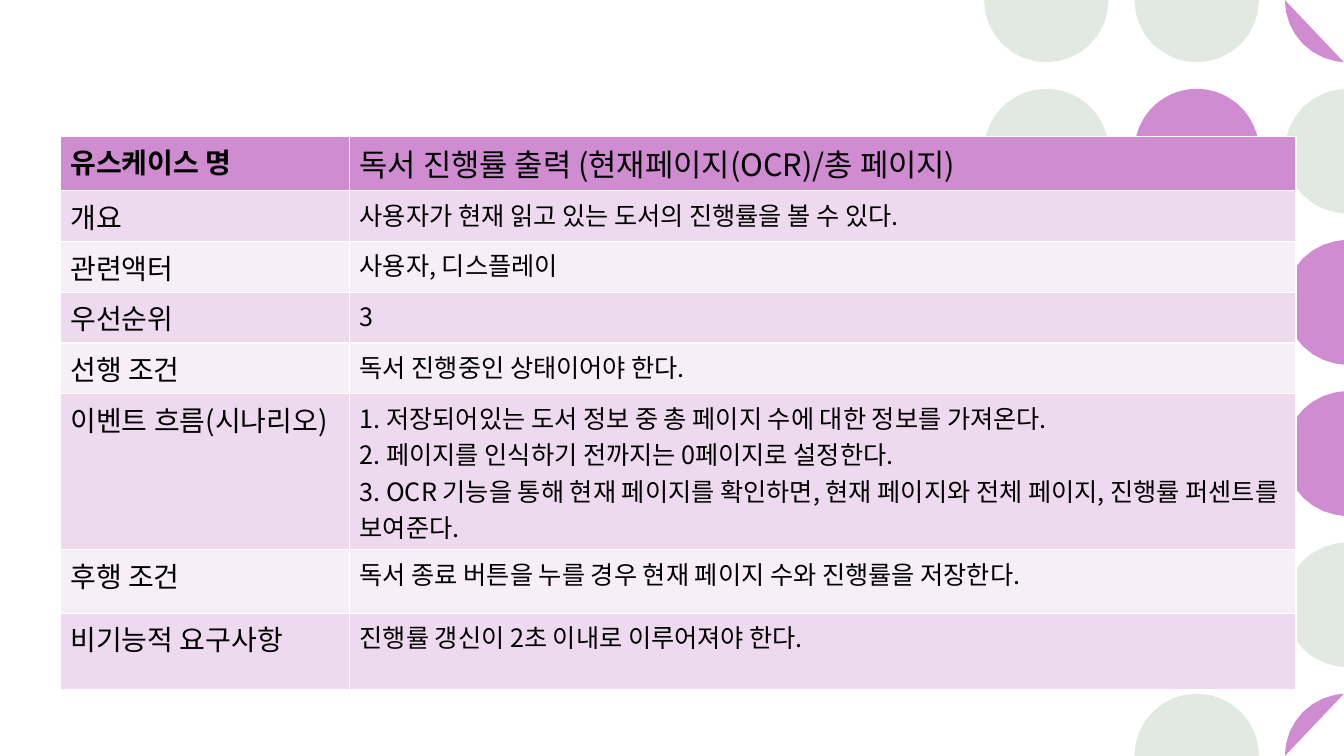
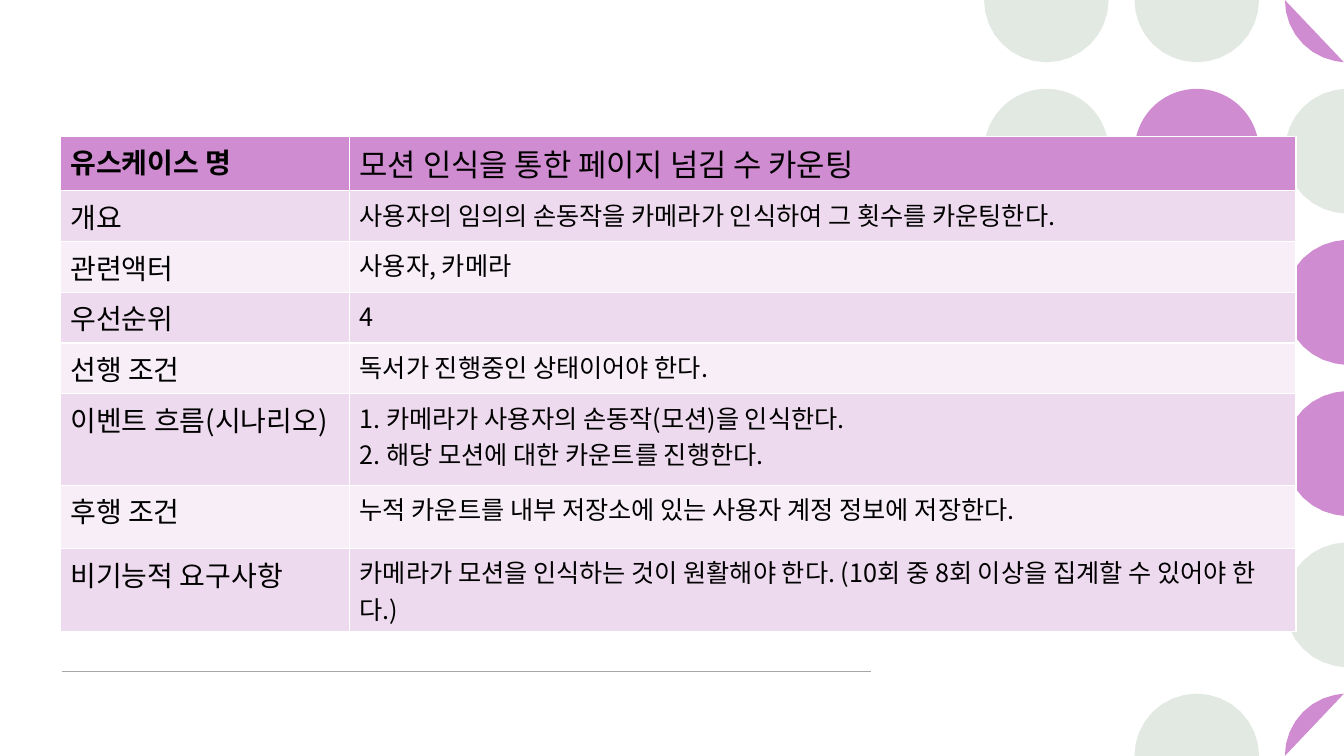
import math

from lxml import etree
from pptx import Presentation
from pptx.dml.color import RGBColor
from pptx.enum.shapes import MSO_CONNECTOR, MSO_SHAPE
from pptx.oxml.ns import qn
from pptx.util import Cm, Pt

STRAIGHT = MSO_CONNECTOR.STRAIGHT
OVAL = MSO_SHAPE.OVAL

FONT = "Noto Sans CJK KR"
BLACK = "000000"
RULE_GREY = "A6A6A6"
SAGE = "E2E8E2"
ORCHID = "D08CD0"
BAND_DARK = "EEDAEE"
BAND_LIGHT = "F7EEF7"

SLIDE_WIDTH, SLIDE_HEIGHT = 33.87, 19.05
DOT_LEFT, DOT_STEP_X, DOT_STEP_Y, DOT_RADIUS = 26.37, 3.79, 3.81, 1.57
DOT_COLUMNS = [
    [SAGE, SAGE],
    [SAGE, ORCHID, SAGE, SAGE, None, SAGE],
    [ORCHID, SAGE, ORCHID, ORCHID, SAGE, ORCHID],
]
ARC_STEPS = 32

TABLE_LEFT, TABLE_TOP = 1.52, 3.43
COLUMN_WIDTHS = [7.29, 23.85]
ROW_HEIGHTS = [0.99, 1.04, 1.04, 0.99, 1.04, 1.75, 1.6, 1.93]
LABELS = ["유스케이스 명", "개요", "관련액터", "우선순위", "선행 조건",
          "이벤트 흐름(시나리오)", "후행 조건", "비기능적 요구사항"]

USE_CASES = [
    [
        "독서 진행률 출력 (현재페이지(OCR)/총 페이지)",
        "사용자가 현재 읽고 있는 도서의 진행률을 볼 수 있다.",
        "사용자, 디스플레이",
        "3",
        "독서 진행중인 상태이어야 한다.",
        "1. 저장되어있는 도서 정보 중 총 페이지 수에 대한 정보를 가져온다.\n"
        "2. 페이지를 인식하기 전까지는 0페이지로 설정한다.\n"
        "3. OCR 기능을 통해 현재 페이지를 확인하면, 현재 페이지와 전체 페이지, "
        "진행률 퍼센트를 보여준다.",
        "독서 종료 버튼을 누를 경우 현재 페이지 수와 진행률을 저장한다.",
        "진행률 갱신이 2초 이내로 이루어져야 한다.",
    ],
    [
        "모션 인식을 통한 페이지 넘김 수 카운팅",
        "사용자의 임의의 손동작을 카메라가 인식하여 그 횟수를 카운팅한다.",
        "사용자, 카메라",
        "4",
        "독서가 진행중인 상태이어야 한다.",
        "1. 카메라가 사용자의 손동작(모션)을 인식한다.\n"
        "2. 해당 모션에 대한 카운트를 진행한다.",
        "누적 카운트를 내부 저장소에 있는 사용자 계정 정보에 저장한다.",
        "카메라가 모션을 인식하는 것이 원활해야 한다. "
        "(10회 중 8회 이상을 집계할 수 있어야 한다.)",
    ],
]


def color(value):
    return RGBColor.from_string(value)


def clamp(value, limit):
    return min(max(value, 0), limit)


def cut_circle(center_x, center_y):
    points = []
    for step in range(ARC_STEPS):
        angle = 2 * math.pi * step / ARC_STEPS
        x = clamp(center_x + DOT_RADIUS * math.cos(angle), SLIDE_WIDTH)
        y = clamp(center_y + DOT_RADIUS * math.sin(angle), SLIDE_HEIGHT)
        points.append((Cm(x), Cm(y)))
    neighbours = zip(points[-1:] + points[:-1], points, points[1:] + points[:1])
    return [point for before, point, after in neighbours
            if not any(a == b == c for a, b, c in zip(before, point, after))]


def add_dot(page, center_x, center_y, fill):
    left, top = center_x - DOT_RADIUS, center_y - DOT_RADIUS
    size = 2 * DOT_RADIUS
    if top >= 0 and left + size <= SLIDE_WIDTH and top + size <= SLIDE_HEIGHT:
        dot = page.shapes.add_shape(OVAL, Cm(left), Cm(top), Cm(size), Cm(size))
    else:
        points = cut_circle(center_x, center_y)
        outline = page.shapes.build_freeform(*points[0])
        outline.add_line_segments(points[1:], close=True)
        dot = outline.convert_to_shape()
    dot.shadow.inherit = False
    dot.fill.solid()
    dot.fill.fore_color.rgb = color(fill)
    dot.line.fill.background()


def add_rule(page):
    rule = page.shapes.add_connector(
        STRAIGHT, Cm(1.57), Cm(16.92), Cm(21.95), Cm(16.92))
    rule.line.color.rgb = color(RULE_GREY)
    rule.line.width = Pt(1)
    etree.SubElement(rule.element.spPr, qn("a:effectLst"))


def add_backdrop(page):
    for column, fills in enumerate(DOT_COLUMNS):
        for row, fill in enumerate(fills):
            if fill:
                add_dot(page, DOT_LEFT + column * DOT_STEP_X, row * DOT_STEP_Y, fill)
    add_rule(page)


def fill_cell(cell, text, fill, size, bold):
    cell.fill.solid()
    cell.fill.fore_color.rgb = color(fill)
    cell.text = text
    for para in cell.text_frame.paragraphs:
        font = para.font
        font.name = FONT
        font.size = Pt(size)
        font.bold = bold
        font.color.rgb = color(BLACK)
        east_asian = etree.Element(qn("a:ea"), typeface=FONT)
        font._element.find(qn("a:latin")).addnext(east_asian)


def add_use_case_table(page, details):
    table = page.shapes.add_table(
        len(LABELS), len(COLUMN_WIDTHS), Cm(TABLE_LEFT), Cm(TABLE_TOP),
        Cm(sum(COLUMN_WIDTHS)), Cm(sum(ROW_HEIGHTS))).table
    for column, width in zip(table.columns, COLUMN_WIDTHS):
        column.width = Cm(width)
    for row, (label, detail) in enumerate(zip(LABELS, details)):
        table.rows[row].height = Cm(ROW_HEIGHTS[row])
        header = row == 0
        fill = ORCHID if header else BAND_DARK if row % 2 else BAND_LIGHT
        fill_cell(table.cell(row, 0), label, fill, 20, header)
        fill_cell(table.cell(row, 1), detail, fill, 22 if header else 18, False)


def main():
    deck = Presentation()
    deck.slide_width = Cm(SLIDE_WIDTH)
    deck.slide_height = Cm(SLIDE_HEIGHT)
    for details in USE_CASES:
        page = deck.slides.add_slide(deck.slide_layouts[6])
        add_backdrop(page)
        add_use_case_table(page, details)
    deck.save("out.pptx")


if __name__ == "__main__":
    main()
